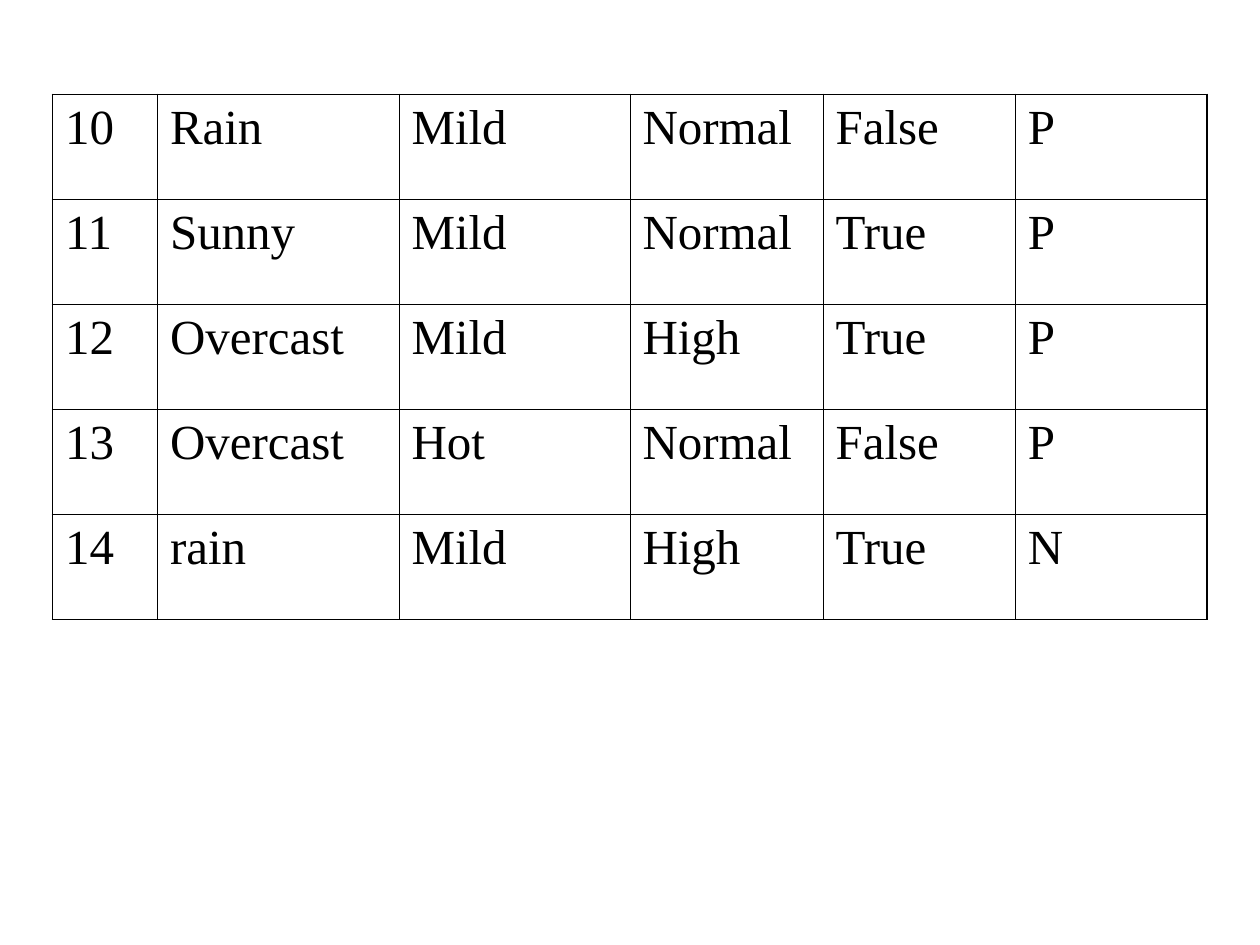
"""Build a slide with the last five rows of a weather training table."""
from typing import NamedTuple

from lxml import etree
from pptx import Presentation
from pptx import util as u
from pptx.dml.color import RGBColor
from pptx.oxml import ns

PX = 7620
BLACK = "000000"
INNER, OUTER = 0.45, 1.08
COL_WIDTHS = (100, 230, 220, 184, 183, 183)
ROW_HEIGHT = 100


class Sample(NamedTuple):
    number: str
    outlook: str
    temperature: str
    humidity: str
    windy: str
    label: str


SAMPLES = (
    Sample("10", "Rain", "Mild", "Normal", "False", "P"),
    Sample("11", "Sunny", "Mild", "Normal", "True", "P"),
    Sample("12", "Overcast", "Mild", "High", "True", "P"),
    Sample("13", "Overcast", "Hot", "Normal", "False", "P"),
    Sample("14", "rain", "Mild", "High", "True", "N"),
)


def px(n: int) -> u.Emu:
    return u.Emu(n * PX)


def rgb(value: str) -> RGBColor:
    return RGBColor.from_string(value)


def write(tf, content: str, *, size: int = 28, font: str = "Times New Roman",
          color: str = BLACK) -> None:
    r = tf.paragraphs[0].add_run()
    r.text = content
    r.font.size, r.font.name = u.Pt(size), font
    r.font.color.rgb = rgb(color)


def add_border(cell, side: str, width: float, color: str = BLACK) -> None:
    tc_pr = cell._tc.get_or_add_tcPr()
    ln = etree.SubElement(tc_pr, ns.qn(f"a:ln{side}"), w=str(u.Pt(width)))
    fill = etree.SubElement(ln, ns.qn("a:solidFill"))
    etree.SubElement(fill, ns.qn("a:srgbClr"), val=color)


def add_samples(s, left: int, top: int, samples: tuple[Sample, ...]) -> None:
    rows, cols = len(samples), len(COL_WIDTHS)
    table = s.shapes.add_table(rows, cols, px(left), px(top),
                               px(sum(COL_WIDTHS)), px(rows * ROW_HEIGHT)).table
    table.first_row = table.horz_banding = False
    for column, width in zip(table.columns, COL_WIDTHS):
        column.width = px(width)
    for i, sample in enumerate(samples):
        table.rows[i].height = px(ROW_HEIGHT)
        for j, value in enumerate(sample):
            cell = table.cell(i, j)
            write(cell.text_frame, value)
            edges = {"L": j == 0, "R": j == cols - 1,
                     "T": i == 0, "B": i == rows - 1}
            for side, is_outer in edges.items():
                add_border(cell, side, OUTER if is_outer else INNER)
            cell.fill.background()


def main() -> None:
    prs = Presentation()
    prs.slide_width, prs.slide_height = px(1200), px(900)
    s = prs.slides.add_slide(prs.slide_layouts[6])
    add_samples(s, 50, 90, SAMPLES)
    prs.save("out.pptx")


if __name__ == "__main__":
    main()
